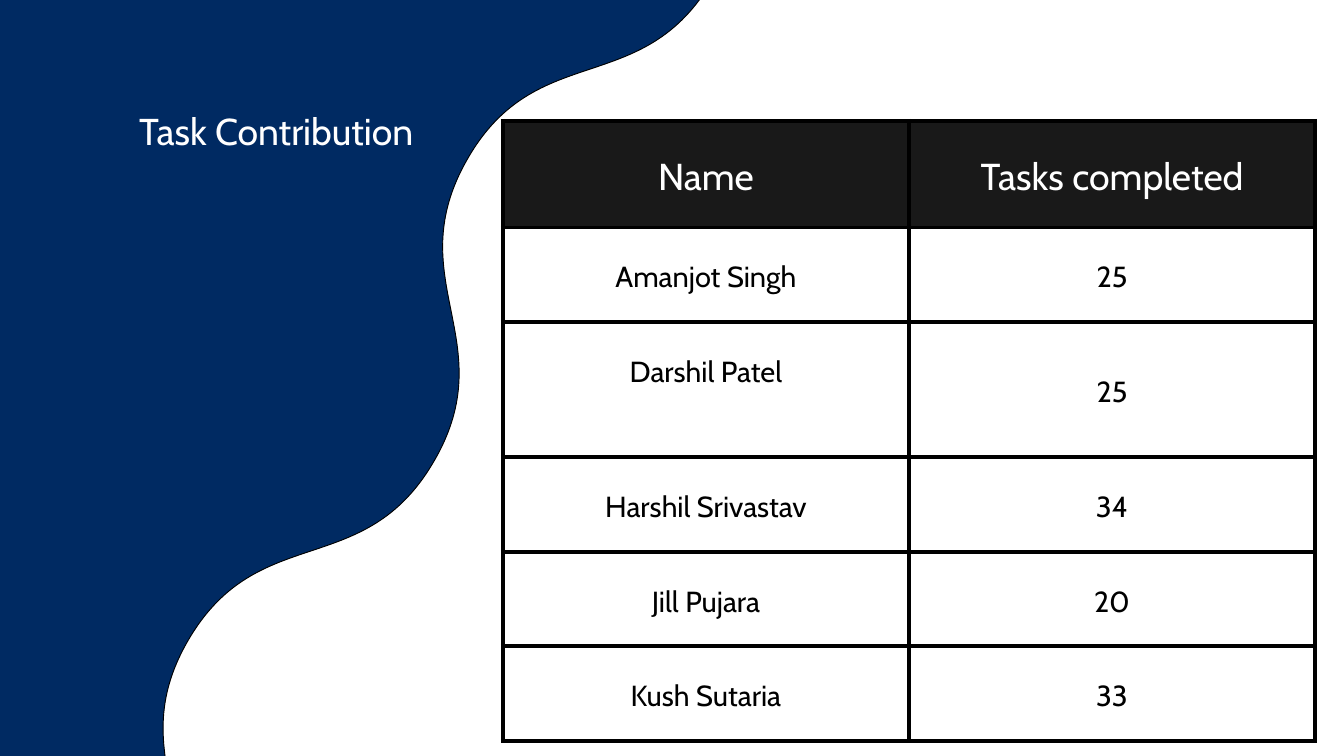
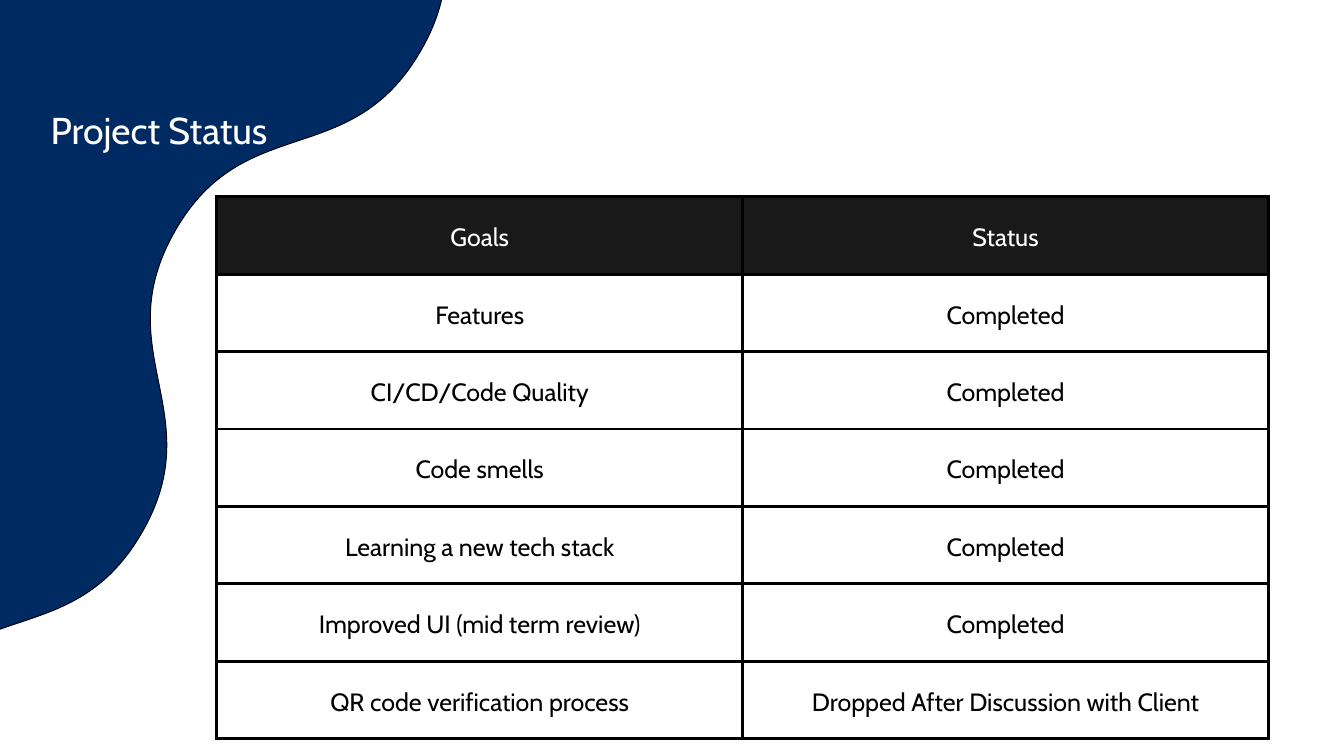
from math import cos, radians, sin
from lxml.etree import SubElement
from pptx import Presentation
from pptx.dml.color import RGBColor
from pptx.enum.text import MSO_ANCHOR, MSO_AUTO_SIZE, PP_ALIGN
from pptx.oxml.ns import qn
from pptx.util import Pt

COLORS = {"navy": "002A62", "head": "191919", "black": "000000", "white": "FFFFFF"}
FONT = "Cabin"
INCH = 72  # points
TURN = 30.1
FRAME = (-447.12, -1026.72, 1056.24, 2265.12)

# Wave outline in inches: pairs are lines, sixes are Bezier curves.
START = (10.61, -0.31)
WAVE = [
    (9.57, 1.49, 7.99, 0.57, 6.96, 2.36),
    (5.92, 4.16, 7.5, 5.07, 6.46, 6.86),
    (5.42, 8.66, 3.84, 7.74, 2.8, 9.53),
    (1.76, 11.32, 3.34, 12.24, 2.3, 14.03),
    (1.26, 15.83, -0.29, 14.93, -1.33, 16.72),
    (-1.33, 16.72),
    (-1.35, 16.76, -1.37, 16.82, -1.4, 16.86),
    (-1.4, 16.86),
    (-1.71, 17.41, -2.41, 17.59, -2.96, 17.28),
    (-12.12, 11.96),
    (-12.67, 11.66, -12.86, 10.96, -12.54, 10.41),
    (-12.54, 10.41),
    (-12.51, 10.36, -12.48, 10.32, -12.45, 10.28),
    (-12.45, 10.28),
    (-11.4, 8.48, -9.84, 9.39, -8.8, 7.6),
    (-7.76, 5.81, -9.34, 4.9, -8.3, 3.1),
    (-7.26, 1.31, -5.68, 2.22, -4.64, 0.43),
    (-3.6, -1.36, -5.18, -2.28, -4.14, -4.07),
    (-3.1, -5.86, -1.53, -4.95, -0.49, -6.73),
    (0.55, -8.53, -1.02, -9.45, 0.02, -11.24),
    (1.06, -13.04, 2.61, -12.14, 3.64, -13.93),
    (3.96, -14.47, 4.66, -14.66, 5.2, -14.34),
    (14.37, -9.03),
    (14.92, -8.71, 15.1, -8.01, 14.79, -7.47),
    (13.75, -5.67, 12.16, -6.59, 11.12, -4.81),
    (10.08, -3.01, 11.65, -2.1, 10.61, -0.31),
]

TASKS = [
    ("Name", "Tasks completed"),
    ("Amanjot Singh", "25"),
    ("Darshil Patel", "25"),
    ("Harshil Srivastav", "34"),
    ("Jill Pujara", "20"),
    ("Kush Sutaria", "33"),
]
GOALS = [
    ("Goals", "Status"),
    ("Features", "Completed"),
    ("CI/CD/Code Quality", "Completed"),
    ("Code smells", "Completed"),
    ("Learning a new tech stack", "Completed"),
    ("Improved UI (mid term review)", "Completed"),
    ("QR code verification process", "Dropped After Discussion with Client"),
]


def rgb(name):
    return RGBColor.from_string(COLORS[name])


def upright(x, y):
    """Turn a point back about the frame's centre; measure from its corner."""
    left, top, width, height = FRAME
    co, si = cos(radians(TURN)), sin(radians(TURN))
    dx = INCH * x - left - width / 2
    dy = INCH * y - top - height / 2
    return Pt(width / 2 + co * dx + si * dy), Pt(height / 2 - si * dx + co * dy)


def add_step(track, tag, nums):
    step = SubElement(track, qn("a:" + tag))
    for x, y in zip(nums[::2], nums[1::2]):
        px, py = upright(x, y)
        SubElement(step, qn("a:pt"), x=str(px), y=str(py))


def bend(wave):
    """Give the freeform its true curves, in the frame's own units."""
    track = next(wave.element.iter(qn("a:path")))
    for step in list(track):
        track.remove(step)
    track.set("w", str(wave.width))
    track.set("h", str(wave.height))
    add_step(track, "moveTo", START)
    for part in WAVE:
        add_step(track, "lnTo" if len(part) == 2 else "cubicBezTo", part)
    SubElement(track, qn("a:close"))


def add_wave(slide, dx=0, dy=0):
    left, top, width, height = FRAME
    pen = slide.shapes.build_freeform(*upright(*START))
    pen.add_line_segments([upright(*part[-2:]) for part in WAVE], close=True)
    wave = pen.convert_to_shape()
    wave.left, wave.top = Pt(left + dx), Pt(top + dy)
    wave.width, wave.height = Pt(width), Pt(height)
    bend(wave)
    wave.rotation = TURN
    wave.shadow.inherit = False
    wave.fill.solid()
    wave.fill.fore_color.rgb = rgb("navy")
    wave.line.color.rgb = rgb("black")
    wave.line.width = Pt(1)


def style(par, size, color, space):
    par.alignment = PP_ALIGN.CENTER
    par.line_spacing = Pt(space)
    par.font.name = FONT
    par.font.size = Pt(size)
    par.font.bold = False
    par.font.color.rgb = rgb(color)


def set_title(slide, text, box, space):
    title = slide.shapes.title
    title.left, title.top, title.width, title.height = map(Pt, box)
    frame = title.text_frame
    frame.text = text
    frame.word_wrap = True
    frame.auto_size = MSO_AUTO_SIZE.NONE
    frame.vertical_anchor = MSO_ANCHOR.TOP
    frame.margin_left = frame.margin_top = frame.margin_right = frame.margin_bottom = 0
    style(frame.paragraphs[0], 40, "white", space)
    title.element.getparent().append(title.element)  # to the front


def set_edges(cell, width):
    props = cell._tc.get_or_add_tcPr()
    for side in ("lnL", "lnR", "lnT", "lnB"):
        line = SubElement(props, qn("a:" + side), w=str(Pt(width)))
        fill = SubElement(line, qn("a:solidFill"))
        SubElement(fill, qn("a:srgbClr"), val=COLORS["black"])


def add_grid(slide, rows, spot, width, heights, inset, edge, head, body):
    """Add a two-column table; head and body are (size, line spacing)."""
    left, top = spot
    grid = slide.shapes.add_table(len(rows), 2, Pt(left), Pt(top),
                                  Pt(width), Pt(sum(heights))).table
    grid.first_row = grid.horz_banding = False
    for r, (row, height) in enumerate(zip(rows, heights)):
        grid.rows[r].height = Pt(height)
        size, space = body if r else head
        for c, text in enumerate(row):
            cell = grid.cell(r, c)
            cell.text = text
            cell.vertical_anchor = MSO_ANCHOR.MIDDLE
            cell.margin_left = cell.margin_right = Pt(inset)
            cell.margin_top = cell.margin_bottom = Pt(inset)
            set_edges(cell, edge)
            if r:
                cell.fill.background()
            else:
                cell.fill.solid()
                cell.fill.fore_color.rgb = rgb("head")
            style(cell.text_frame.paragraphs[0], size, "black" if r else "white", space)
    return grid


def add_tasks(deck):
    slide = deck.slides.add_slide(deck.slide_layouts[5])
    add_wave(slide)
    heights = [114.2, 101.4, 144.6, 101.4, 101.4, 101.4]
    grid = add_grid(slide, TASKS, (538.8, 129.5), 870.2, heights, 23.8, 4.69,
                    (40.1, 56.2), (31.1, 43.6))
    grid.cell(2, 0).margin_bottom = Pt(23.8 + 43.6)  # name sits higher
    set_title(slide, "Task Contribution", (120.2, 108, 351.4, 52.6), 56)


def add_goals(deck):
    slide = deck.slides.add_slide(deck.slide_layouts[5])
    add_wave(slide, -313.2, 77)
    add_grid(slide, GOALS, (232.3, 210.8), 1126.8, [82.95] * len(GOALS), 18, 3.63,
             (26.8, 37.5), (26.8, 37.5))
    set_title(slide, "Project Status", (0, 92.9, 340.6, 135.4), 69.7)


def main():
    deck = Presentation()
    deck.slide_width, deck.slide_height = Pt(1440), Pt(810)
    add_tasks(deck)
    add_goals(deck)
    deck.save("out.pptx")


if __name__ == "__main__":
    main()
